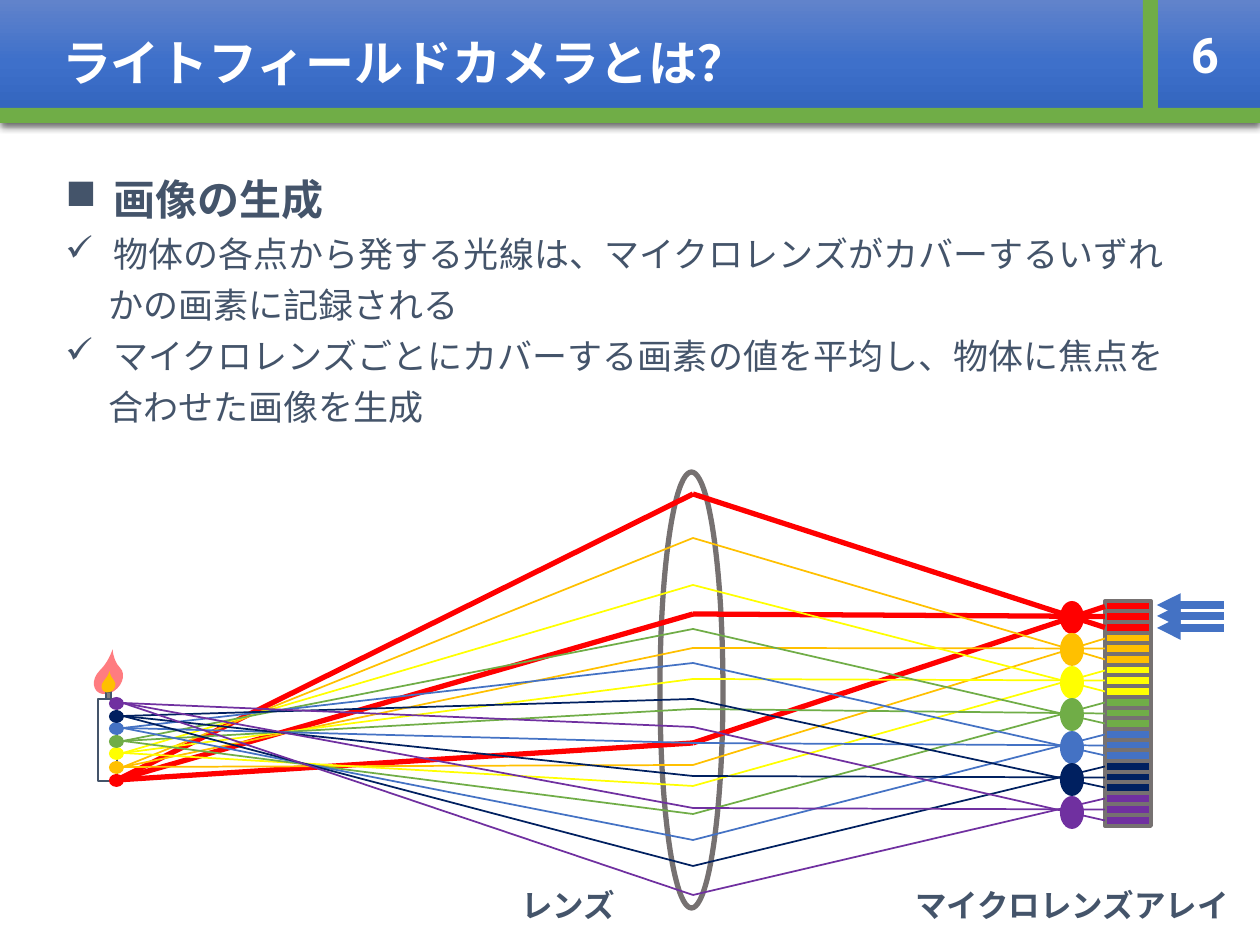
from pptx import Presentation
from pptx.dml.color import RGBColor
from pptx.enum.shapes import MSO_CONNECTOR, MSO_SHAPE as Preset
from pptx.enum.text import MSO_ANCHOR as Anchor, MSO_AUTO_SIZE, PP_ALIGN as Align
from pptx.oxml import parse_xml
from pptx.oxml.ns import nsdecls
from pptx.oxml.xmlchemy import OxmlElement
from pptx.util import Emu, Pt

EMU_PER_PX = 914400 / 126
FONT = "Roboto"
WHITE = RGBColor(0xFF, 0xFF, 0xFF)
SLATE = RGBColor(0x44, 0x54, 0x6A)
GRAY = RGBColor(0x76, 0x71, 0x71)
WICK = RGBColor(0x80, 0x80, 0x80)
FLAME = RGBColor(0xFF, 0x7C, 0x80)
RED = RGBColor(0xFF, 0x00, 0x00)
ORANGE = RGBColor(0xFF, 0xC0, 0x00)
YELLOW = RGBColor(0xFF, 0xFF, 0x00)
GREEN = RGBColor(0x70, 0xAD, 0x47)
BLUE = RGBColor(0x44, 0x72, 0xC4)
NAVY = RGBColor(0x00, 0x20, 0x60)
PURPLE = RGBColor(0x70, 0x30, 0xA0)
BANNER_STOPS = [
    (0, RGBColor(0x61, 0x83, 0xCB)),
    (50, RGBColor(0x3E, 0x70, 0xCA)),
    (100, RGBColor(0x30, 0x62, 0xBB)),
]

LENS_X = 693
ARRAY_TOP = 601
BEAMS = [
    (RED, 3, (117, 780), (494, 614, 743)),
    (ORANGE, 1, (123, 767), (538, 648, 765)),
    (YELLOW, 1, (123, 753), (585, 679, 786)),
    (GREEN, 1, (123, 741), (629, 709, 814)),
    (BLUE, 1, (123, 728), (663, 743, 840)),
    (NAVY, 1, (123, 716), (699, 776, 866)),
    (PURPLE, 1, (123, 703), (727, 808, 895)),
]
BODY = [
    ("■", 24, True, "画像の生成"),
    ("✓", 20, False, "物体の各点から発する光線は、マイクロレンズがカバーするいずれ"),
    (None, 20, False, "かの画素に記録される"),
    ("✓", 20, False, "マイクロレンズごとにカバーする画素の値を平均し、物体に焦点を"),
    (None, 20, False, "合わせた画像を生成"),
]


def px(length):
    return Emu(round(length * EMU_PER_PX))


def add_figure(slide, preset, box, fill=None, line=None, width=1, rotation=0):
    figure = slide.shapes.add_shape(preset, *map(px, box))
    figure.shadow.inherit = False
    figure.rotation = rotation
    if fill is None:
        figure.fill.background()
    else:
        figure.fill.solid()
        figure.fill.fore_color.rgb = fill
    if line is None:
        figure.line.fill.background()
    else:
        figure.line.color.rgb = line
        figure.line.width = Pt(width)
    return figure


def add_line(slide, start, end, color, width):
    line = slide.shapes.add_connector(MSO_CONNECTOR.STRAIGHT, *map(px, (*start, *end)))
    line.line.color.rgb = color
    line.line.width = Pt(width)
    line._element.spPr.append(OxmlElement("a:effectLst"))
    return line


def add_arrow(slide, start, end):
    arrow = add_line(slide, start, end, BLUE, 4.5)
    head = OxmlElement("a:tailEnd")
    head.set("type", "triangle")
    arrow.line._get_or_add_ln().append(head)


def add_run(paragraph, text, size, color, bold=True):
    run = paragraph.add_run()
    run.text = text
    run.font.name = FONT
    run.font.size = Pt(size)
    run.font.bold = bold
    run.font.color.rgb = color


def add_text_frame(slide, box):
    frame = slide.shapes.add_textbox(*map(px, box)).text_frame
    frame.word_wrap = True
    return frame


def add_label(slide, box, text, size, color):
    frame = add_text_frame(slide, box)
    frame.vertical_anchor = Anchor.MIDDLE
    paragraph = frame.paragraphs[0]
    paragraph.alignment = Align.CENTER
    add_run(paragraph, text, size, color)


def set_indent(paragraph, bullet):
    properties = paragraph._p.get_or_add_pPr()
    properties.set("marL", str(px(48 if bullet else 43)))
    if bullet:
        properties.set("indent", str(px(-48)))
        mark = OxmlElement("a:buChar")
        mark.set("char", bullet)
        properties.append(mark)


def add_header(slide):
    title = slide.shapes.title
    title.left, title.top, title.width, title.height = map(px, (0, 0, 1260, 123))
    stops = "".join(
        f'<a:gs pos="{position * 1000}"><a:srgbClr val="{color}"/></a:gs>'
        for position, color in BANNER_STOPS
    )
    properties = title._element.spPr
    properties.append(parse_xml(
        f'<a:gradFill {nsdecls("a")} rotWithShape="1"><a:gsLst>{stops}</a:gsLst>'
        '<a:lin ang="5400000" scaled="0"/></a:gradFill>'))
    properties.append(parse_xml(
        f'<a:effectLst {nsdecls("a")}><a:outerShdw blurRad="{Pt(4.5)}" dist="{Pt(1.5)}" '
        'dir="5400000" algn="ctr" rotWithShape="0"><a:srgbClr val="000000">'
        '<a:alpha val="63000"/></a:srgbClr></a:outerShdw></a:effectLst>'))
    frame = title.text_frame
    frame.auto_size = MSO_AUTO_SIZE.NONE
    frame.vertical_anchor = Anchor.MIDDLE
    frame.margin_left = px(62)
    paragraph = frame.paragraphs[0]
    paragraph.alignment = Align.LEFT
    add_run(paragraph, "ライトフィールドカメラとは？", 28, WHITE)

    add_figure(slide, Preset.RECTANGLE, (0, 108, 1260, 15), GREEN)
    add_label(slide, (1150, 0, 110, 108), "6", 28, WHITE)
    add_figure(slide, Preset.RECTANGLE, (1143, 0, 15, 123), GREEN)


def add_body(slide):
    frame = add_text_frame(slide, (53, 173, 1153, 341))
    for index, (bullet, size, bold, text) in enumerate(BODY):
        paragraph = frame.add_paragraph() if index else frame.paragraphs[0]
        paragraph.line_spacing = 0.9
        paragraph.space_before = Pt(7.5)
        set_indent(paragraph, bullet)
        add_run(paragraph, text, size, SLATE, bold)


def add_candle(slide):
    add_figure(slide, Preset.RECTANGLE, (98, 699, 19, 82), WHITE, SLATE)
    outer = add_figure(slide, Preset.TEAR, (92, 667, 33, 25), FLAME, rotation=315)
    add_figure(slide, Preset.RECTANGLE, (106, 692, 5, 7), WICK, SLATE)
    inner = add_figure(slide, Preset.TEAR, (101, 679, 15, 13), ORANGE, rotation=315)
    for flame in (outer, inner):
        flame.adjustments[0] = 1.476


def add_optics(slide):
    sensors = [
        add_figure(slide, Preset.RECTANGLE, (1105, ARRAY_TOP + row * 107 // 10, 46, 11),
                   BEAMS[row // 3][0], GRAY, 2.25)
        for row in range(3 * len(BEAMS))
    ]
    add_candle(slide)
    for group, (color, *_) in enumerate(BEAMS):
        add_figure(slide, Preset.OVAL, (1060, ARRAY_TOP + group * 65 // 2, 24, 33), color)
    add_figure(slide, Preset.OVAL, (660, 472, 63, 436), None, GRAY, 3)
    for group, (color, width, source, lens_heights) in enumerate(BEAMS):
        group_sensors = reversed(sensors[3 * group:3 * group + 3])
        for height, sensor in zip(lens_heights, group_sensors):
            crossing = (LENS_X, height)
            add_line(slide, source, crossing, color, width)
            refracted = add_line(slide, (1105, height), crossing, color, width)
            refracted.begin_connect(sensor, 1)
    for color, _, source, _ in BEAMS:
        add_figure(slide, Preset.OVAL, (109, source[1] - 6, 15, 13), color)


def main():
    deck = Presentation()
    deck.slide_width, deck.slide_height = px(1260), px(945)
    slide = deck.slides.add_slide(deck.slide_layouts[5])
    add_header(slide)
    add_optics(slide)
    add_body(slide)
    add_label(slide, (367, 874, 402, 62), "レンズ", 18, SLATE)
    add_label(slide, (871, 874, 402, 62), "マイクロレンズアレイ", 18, SLATE)
    for height in (605, 616, 628):
        add_arrow(slide, (1224, height), (1157, height))
    deck.save("out.pptx")


if __name__ == "__main__":
    main()
